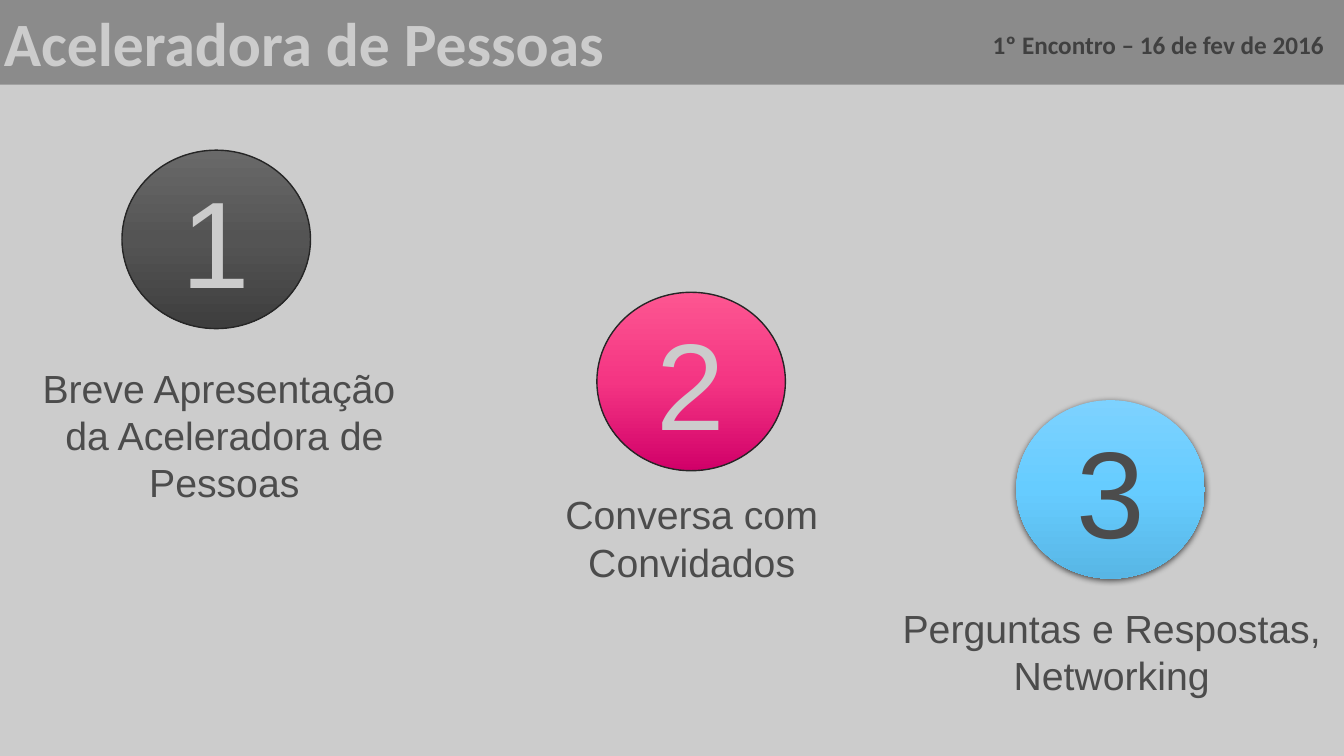
from copy import deepcopy
from dataclasses import dataclass

from lxml import etree
from pptx import Presentation
from pptx.dml.color import RGBColor
from pptx.enum.shapes import MSO_SHAPE
from pptx.enum.text import MSO_ANCHOR, PP_ALIGN
from pptx.oxml import parse_xml
from pptx.oxml.ns import nsdecls, qn
from pptx.util import Inches, Pt

OVAL, RECT = MSO_SHAPE.OVAL, MSO_SHAPE.RECTANGLE
LEFT, CENTER, RIGHT = PP_ALIGN.LEFT, PP_ALIGN.CENTER, PP_ALIGN.RIGHT
TOP, MIDDLE = MSO_ANCHOR.TOP, MSO_ANCHOR.MIDDLE


@dataclass(frozen=True)
class Theme:
    light: str = "CCCCCC"
    dark: str = "4C4C4C"
    date: str = "404040"
    edge: str = "262626"
    gray: tuple = ("696969", "545454", "3E3E3E")
    pink: tuple = ("FD5691", "F43583", "D10069")
    blue: tuple = ("7DD2FF", "66CCFF", "58B6E5")
    body: str = "Arial"
    head: str = "Calibri"
    digit: int = 88
    title: int = 44
    label: int = 28
    note: int = 18


THEME = Theme()


def color(code):
    return RGBColor.from_string(code)


def box(*sizes):
    return [Inches(size) for size in sizes]


def write(shape, text, size, ink, font=THEME.body, bold=False,
          align=CENTER, anchor=TOP, wrap=True):
    frame = shape.text_frame
    frame.text = text
    frame.word_wrap = wrap
    frame.vertical_anchor = anchor
    for para in frame.paragraphs:
        para.alignment = align
        for run in para.runs:
            run.font.name = font
            run.font.size = Pt(size)
            run.font.bold = bold
            run.font.color.rgb = color(ink)


def shade(shape, codes):
    """Fill from top to bottom with evenly spaced colours."""
    fill = shape.fill
    fill.gradient()
    fill.gradient_angle = 270
    stops = shape._element.spPr.find(".//" + qn("a:gsLst"))
    while len(stops) < len(codes):
        stops.append(deepcopy(stops[0]))
    for i, (stop, code) in enumerate(zip(fill.gradient_stops, codes)):
        stop.position = i / (len(codes) - 1)
        stop.color.rgb = color(code)


def add_glow(shape):
    """Drop a soft shadow straight down."""
    effects = shape._element.spPr.find(qn("a:effectLst"))
    effects.append(parse_xml(
        f'<a:outerShdw {nsdecls("a")} blurRad="{Pt(4.5)}" dist="{Pt(1.5)}" '
        'dir="5400000" rotWithShape="0"><a:srgbClr val="000000">'
        '<a:alpha val="63000"/></a:srgbClr></a:outerShdw>'))


def add_ball(slide, digit, left, top, codes, ink, edge):
    ball = slide.shapes.add_shape(OVAL, *box(left, top, 1.87, 1.77))
    ball.shadow.inherit = False
    shade(ball, codes)
    if edge:
        ball.line.color.rgb = color(edge)
        ball.line.width = Pt(1)
    else:
        ball.line.fill.background()
        add_glow(ball)
    write(ball, digit, THEME.digit, ink, anchor=MIDDLE)


def add_label(slide, text, *place):
    label = slide.shapes.add_textbox(*box(*place))
    write(label, text, THEME.label, THEME.dark)


def add_header(slide, title, date):
    bar = slide.shapes.add_shape(RECT, *box(-0.06, 0, 13.4, 0.84))
    bar.shadow.inherit = False
    bar.fill.solid()
    bar.fill.fore_color.rgb = color(THEME.dark)
    tint = bar._element.spPr.find(".//" + qn("a:srgbClr"))
    etree.SubElement(tint, qn("a:alpha"), val="50000")
    bar.line.fill.background()
    write(bar, title, THEME.title, THEME.light, THEME.head, True, LEFT)
    note = slide.shapes.add_textbox(*box(9.3, 0.24, 3.93, 0.4))
    write(note, date, THEME.note, THEME.date, THEME.head, True, RIGHT,
          wrap=False)


def main():
    deck = Presentation()
    deck.slide_width, deck.slide_height = box(13.33, 7.5)
    slide = deck.slides.add_slide(deck.slide_layouts[6])
    slide.background.fill.solid()
    slide.background.fill.fore_color.rgb = color(THEME.light)

    add_ball(slide, "1", 1.21, 1.49, THEME.gray, THEME.light, THEME.edge)
    add_ball(slide, "2", 5.92, 2.9, THEME.pink, THEME.light, THEME.edge)
    add_ball(slide, "3", 10.08, 3.97, THEME.blue, THEME.dark, None)
    add_label(slide, "Breve Apresentação \nda Aceleradora de Pessoas",
              0.11, 3.56, 4.23, 1.51)
    add_label(slide, "Conversa com Convidados", 4.86, 4.82, 4, 1.04)
    add_label(slide, "Perguntas e Respostas, Networking",
              8.7, 5.95, 4.65, 1.04)
    add_header(slide, "Aceleradora de Pessoas",
               "1º Encontro – 16 de fev de 2016")
    deck.save("out.pptx")


if __name__ == "__main__":
    main()
